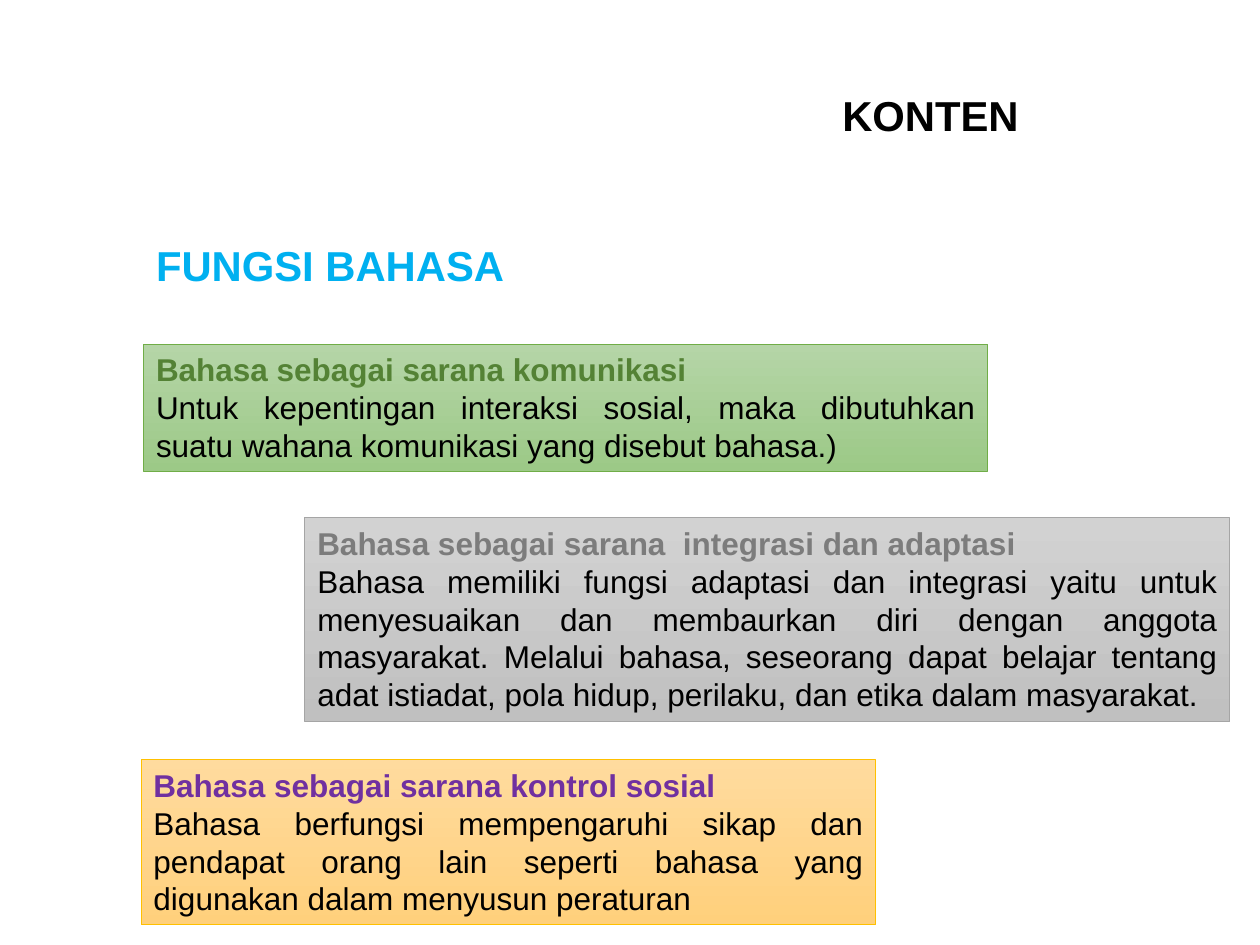
from dataclasses import dataclass

from pptx import Presentation
from pptx.dml.color import RGBColor
from pptx.enum.shapes import MSO_SHAPE
from pptx.enum.text import MSO_ANCHOR, PP_ALIGN
from pptx.util import Inches, Pt


@dataclass(frozen=True)
class Theme:
    font: str = "Arial"
    head: float = 23.9
    body: float = 18
    edge: float = 0.5
    black: str = "000000"
    blue: str = "00B0F0"
    # Each set: gradient top, gradient bottom, border, card title
    green: tuple = ("B5D5A7", "9CC987", "70AD47", "548235")
    gray: tuple = ("D2D2D2", "C0C0C0", "A5A5A5", "7C7C7C")
    gold: tuple = ("FFDB9E", "FFD07C", "FFC000", "7030A0")


class Deck:
    def __init__(self, theme, slide):
        self.theme = theme
        self.slide = slide

    def label(self, par, text, size, color, bold, align):
        par.text = text
        par.alignment = align
        font = par.font
        font.name = self.theme.font
        font.size = Pt(size)
        font.bold = bold
        font.color.rgb = RGBColor.from_string(color)

    def title(self, box, text, color, align):
        shape = self.slide.shapes.add_textbox(*map(Inches, box))
        frame = shape.text_frame
        frame.word_wrap = True
        self.label(frame.paragraphs[0], text, self.theme.head, color, True, align)

    def card(self, box, tones, head, body):
        top, low, edge, ink = tones
        shape = self.slide.shapes.add_shape(MSO_SHAPE.RECTANGLE, *map(Inches, box))
        shape.shadow.inherit = False

        # Vertical gradient and thin border
        shape.fill.gradient()
        shape.fill.gradient_angle = 270
        for stop, tone, place in zip(shape.fill.gradient_stops, (top, low), (0, 1)):
            stop.color.rgb = RGBColor.from_string(tone)
            stop.position = place
        shape.line.color.rgb = RGBColor.from_string(edge)
        shape.line.width = Pt(self.theme.edge)

        # Bold title over justified text
        frame = shape.text_frame
        frame.word_wrap = True
        frame.vertical_anchor = MSO_ANCHOR.TOP
        size, align = self.theme.body, PP_ALIGN.JUSTIFY
        self.label(frame.paragraphs[0], head, size, ink, True, align)
        self.label(frame.add_paragraph(), body, size, self.theme.black, False, align)


def main():
    prs = Presentation()
    prs.slide_width, prs.slide_height = Inches(10), Inches(7.5)
    theme = Theme()
    deck = Deck(theme, prs.slides.add_slide(prs.slide_layouts[6]))

    # Headings
    deck.title((5.02, 0.66, 4.73, 0.5), "KONTEN", theme.black, PP_ALIGN.CENTER)
    deck.title((1.14, 1.85, 6.86, 0.5), "FUNGSI BAHASA", theme.blue, PP_ALIGN.JUSTIFY)

    # Functions of language
    deck.card(
        (1.14, 2.73, 6.7, 1.01), theme.green,
        "Bahasa sebagai sarana komunikasi",
        "Untuk kepentingan interaksi sosial, maka dibutuhkan suatu wahana "
        "komunikasi yang disebut bahasa.)",
    )
    deck.card(
        (2.42, 4.11, 7.34, 1.62), theme.gray,
        "Bahasa sebagai sarana  integrasi dan adaptasi",
        "Bahasa memiliki fungsi adaptasi dan integrasi yaitu untuk menyesuaikan "
        "dan membaurkan diri dengan anggota masyarakat. Melalui bahasa, seseorang "
        "dapat belajar tentang adat istiadat, pola hidup, perilaku, dan etika "
        "dalam masyarakat.",
    )
    deck.card(
        (1.12, 6.03, 5.83, 1.31), theme.gold,
        "Bahasa sebagai sarana kontrol sosial",
        "Bahasa berfungsi mempengaruhi sikap dan pendapat orang lain seperti "
        "bahasa yang digunakan dalam menyusun peraturan",
    )

    prs.save("out.pptx")


if __name__ == "__main__":
    main()
